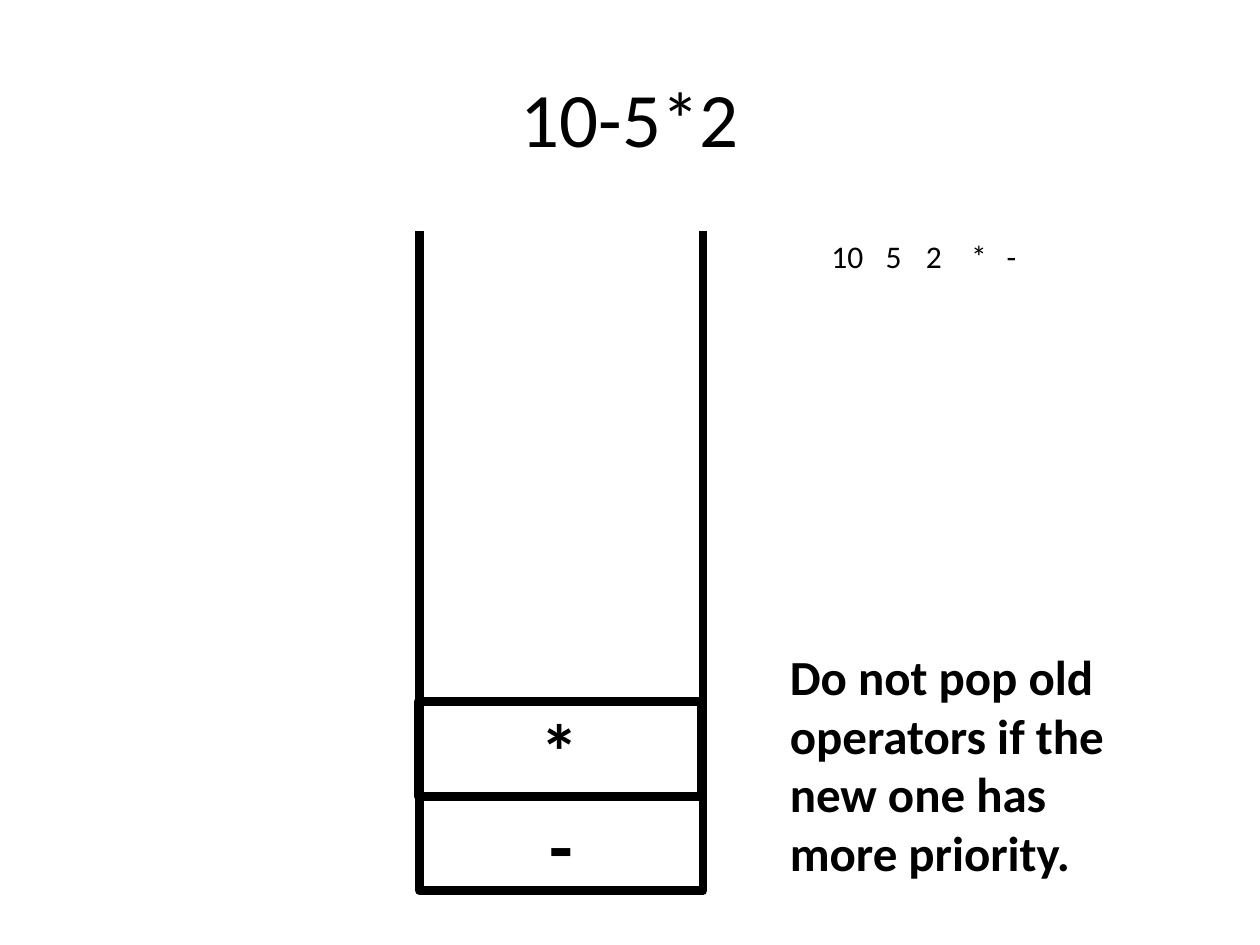
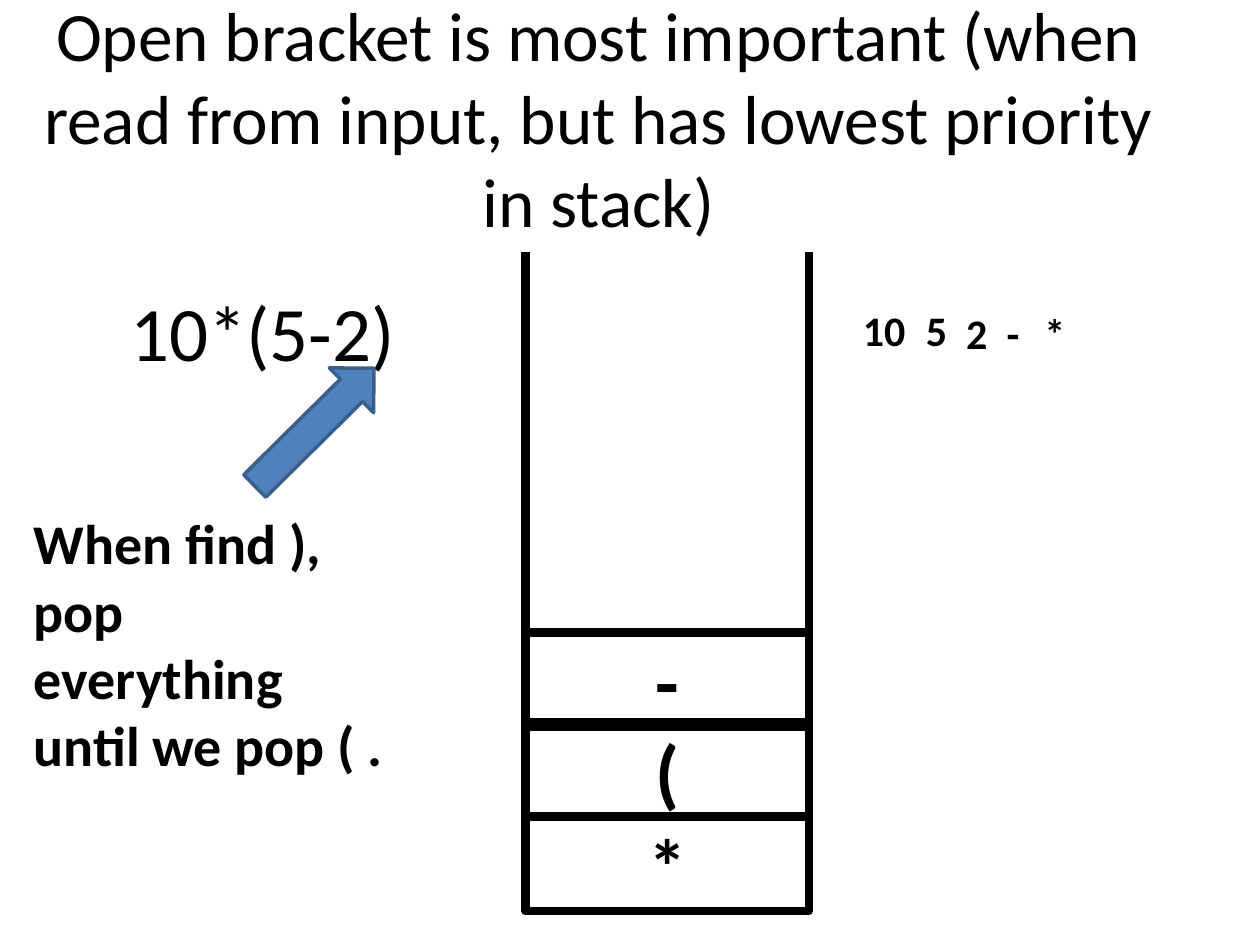
from pptx import Presentation
from pptx.dml.color import RGBColor as RGB
from pptx.enum.shapes import MSO_CONNECTOR as Conn, MSO_SHAPE as Kind
from pptx.enum.text import MSO_ANCHOR as Anchor, PP_ALIGN as Align
from pptx.oxml.ns import qn
from pptx.util import Emu, Pt
from lxml import etree

INK, BLUE, EDGE = "000000", "4F81BD", "3A5F8C"


def px(n):
    """Turn px (100 to the inch) into EMU."""
    return Emu(n * 9144)


def color(code):
    return RGB.from_string(code)


class Deck:
    """Holds the style, the file and the current slide."""
    font = "Calibri"
    thick = 5
    wide, cell = 225, 75

    def __init__(self):
        self.prs = Presentation()
        self.prs.slide_width, self.prs.slide_height = px(1000), px(750)

    def page(self):
        self.shapes = self.prs.slides.add_slide(self.prs.slide_layouts[6]).shapes

    def label(self, frame, words, size, bold, mid):
        frame.word_wrap = True
        frame.vertical_anchor = Anchor.MIDDLE if mid else Anchor.TOP
        par = frame.paragraphs[0]
        par.text = words
        par.alignment = Align.CENTER if mid else Align.LEFT
        font = par.font
        font.name, font.size, font.bold = self.font, Pt(size), bold
        font.color.rgb = color(INK)

    def text(self, words, x, y, w, h, size, bold=False, mid=False):
        box = self.shapes.add_textbox(px(x), px(y), px(w), px(h))
        self.label(box.text_frame, words, size, bold, mid)

    def title(self, words, x, y, w, size=44):
        self.text(words, x, y, w, 125, size, mid=True)

    def line(self, x1, y1, x2, y2):
        line = self.shapes.add_connector(Conn.STRAIGHT, px(x1), px(y1), px(x2), px(y2))
        line.line.color.rgb = color(INK)
        line.line.width = Pt(self.thick)
        etree.SubElement(line._element.spPr, qn("a:effectLst"))

    def stack(self, x, top, base):
        """Draw the open-topped frame of the stack."""
        right = x + self.wide
        self.line(x, top, x, base)
        self.line(right, base, right, top)
        self.line(right, base, x, base)

    def item(self, sign, x, y):
        box = self.shapes.add_shape(Kind.RECTANGLE, px(x), px(y), px(self.wide), px(self.cell))
        box.shadow.inherit = False
        box.fill.background()
        box.line.color.rgb = color(INK)
        box.line.width = Pt(self.thick)
        self.label(box.text_frame, sign, 44, True, True)

    def arrow(self, x, y, w, h, turn):
        arrow = self.shapes.add_shape(Kind.RIGHT_ARROW, px(x), px(y), px(w), px(h))
        arrow.shadow.inherit = False
        arrow.rotation = turn
        arrow.fill.solid()
        arrow.fill.fore_color.rgb = color(BLUE)
        arrow.line.color.rgb = color(EDGE)
        arrow.line.width = Pt(2)

    def output(self, marks, w, h, size, bold=False):
        """Show the postfix result, one box for each (mark, x, y)."""
        for mark, x, y in marks:
            self.text(mark, x, y, w, h, size, bold)


def order(deck):
    deck.page()
    deck.title("10-5*2", 50, 30, 900)
    deck.stack(333, 183, 707)
    deck.item("-", 333, 632)
    deck.item("*", 332, 557)
    marks = zip(["10", "5", "2", "*", "-"], [650, 693, 725, 761, 789], [183] * 5)
    deck.output(marks, 50, 40, 18)
    deck.text("Do not pop old operators if the new one has more priority.",
              617, 508, 317, 199, 28, True)


def bracket(deck):
    deck.page()
    deck.title("Open bracket is most important (when read from input, "
               "but has lowest priority in stack)", 0, 30, 950, 39.6)
    deck.stack(417, 200, 723)
    deck.title("10*(5-2)", 67, 200, 283)
    for sign, y in [("*", 648), ("(", 573), ("-", 502)]:
        deck.item(sign, 417, y)
    deck.arrow(183, 314, 133, 50, 315.3)
    marks = zip(["10", "5", "2", "-", "*"], [675, 725, 757, 789, 819],
                [237, 237, 239, 239, 239])
    deck.output(marks, 64, 50, 24, True)
    deck.text("When find ), pop everything until we pop ( .",
              17, 399, 298, 226, 32, True)


def main():
    deck = Deck()
    order(deck)
    bracket(deck)
    deck.prs.save("out.pptx")


if __name__ == "__main__":
    main()
